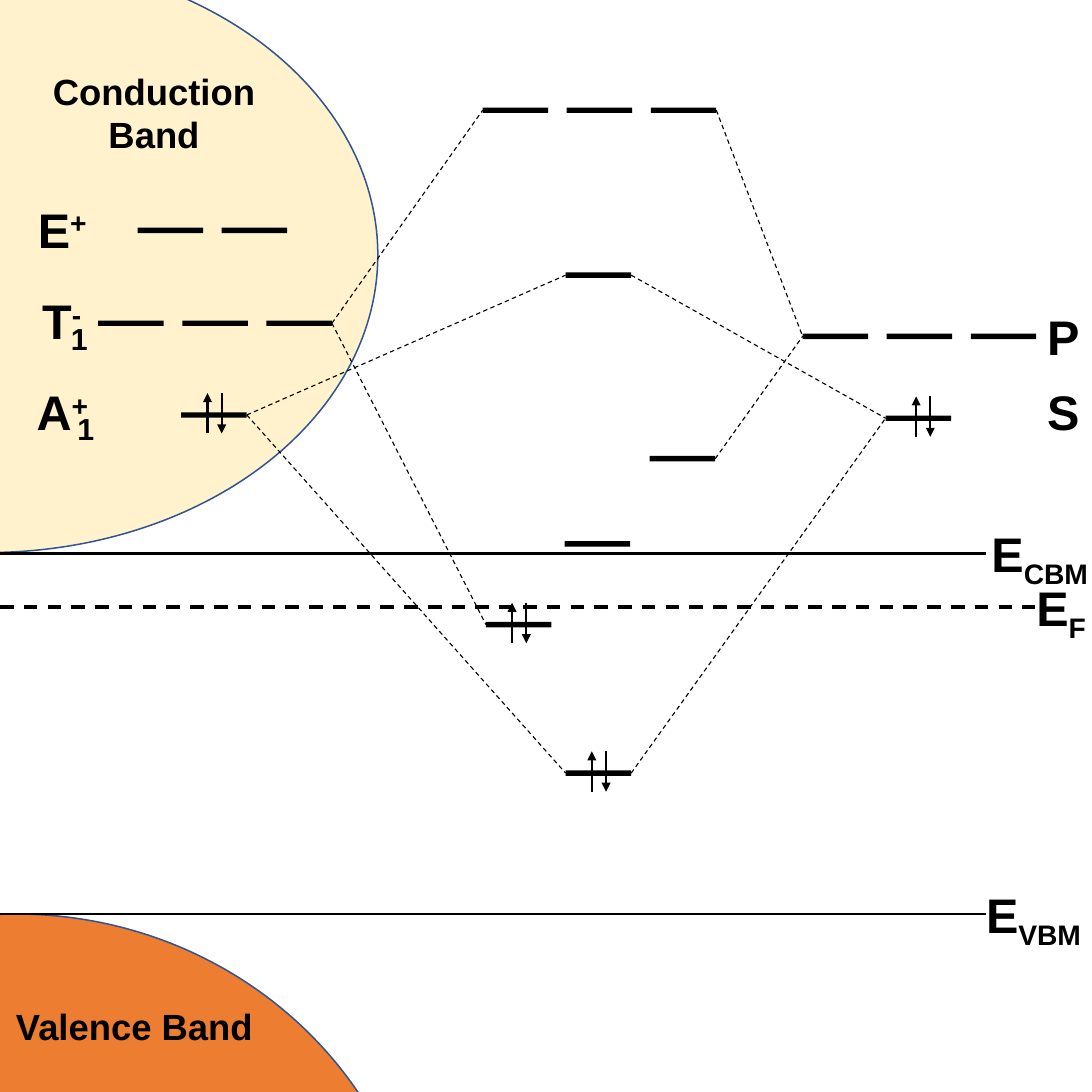
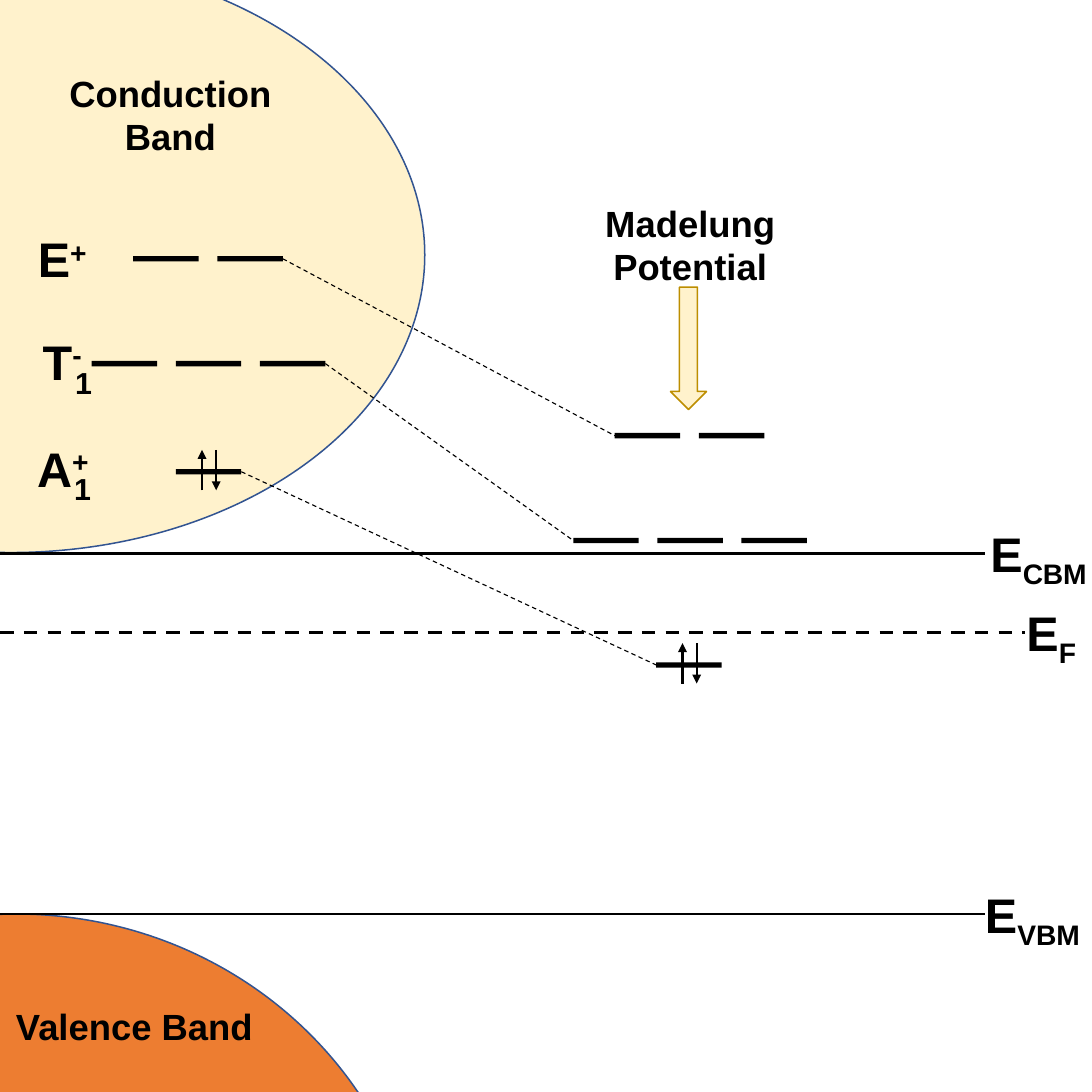
import dataclasses

import lxml.etree
import pptx
import pptx.dml.color
import pptx.enum.dml
import pptx.enum.shapes
import pptx.enum.text
import pptx.oxml.ns
import pptx.util

Inches = pptx.util.Inches
Pt = pptx.util.Pt
SHAPE = pptx.enum.shapes.MSO_SHAPE
ALIGN = pptx.enum.text.PP_ALIGN


@dataclasses.dataclass(frozen=True)
class Theme:
    font: str = "Arial"
    ink: str = "000000"
    conduction: str = "FFF2CC"
    valence: str = "ED7D31"
    band_outline: str = "325491"
    arrow_outline: str = "BD8E00"
    symbol_size: float = 32
    caption_size: float = 24
    index_size: float = 20
    outline: float = 1
    link: float = 0.75
    edge: float = 1.5
    fermi: float = 2.25
    superscript: int = 30
    subscript: int = -25


@dataclasses.dataclass(frozen=True)
class Box:
    left: float
    top: float
    width: float
    height: float

    def emu(self):
        return [Inches(n) for n in dataclasses.astuple(self)]


@dataclasses.dataclass(frozen=True)
class Level:
    """A row of degenerate states: left end, height of its middle, number of bars."""
    left: float
    middle: float
    bars: int = 1

    @property
    def right(self):
        return self.left + (self.bars - 1) * BAR_PITCH + BAR_WIDTH


THEME = Theme()
BAR_WIDTH, BAR_HEIGHT, BAR_PITCH = 0.6, 0.05, 0.77
SPIN_RISE, SPIN_LENGTH, SPIN_GAP = 0.2, 0.37, 0.13
VALENCE_TOP = 8.37
CONDUCTION_BOTTOM = 5.07


def rgb(value):
    return pptx.dml.color.RGBColor.from_string(value)


def add_solid(slide, preset, box, fill, outline=None):
    solid = slide.shapes.add_shape(preset, *box.emu())
    solid.shadow.inherit = False
    solid.fill.solid()
    solid.fill.fore_color.rgb = rgb(fill)
    if outline:
        solid.line.color.rgb = rgb(outline)
        solid.line.width = Pt(THEME.outline)
    else:
        solid.line.fill.background()


def add_line(slide, start, end, width, dashed=False, arrow=False):
    ends = [Inches(n) for n in (*start, *end)]
    line = slide.shapes.add_connector(pptx.enum.shapes.MSO_CONNECTOR.STRAIGHT, *ends)
    line.line.color.rgb = rgb(THEME.ink)
    line.line.width = Pt(width)
    if dashed:
        line.line.dash_style = pptx.enum.dml.MSO_LINE.DASH
    qn = pptx.oxml.ns.qn
    if arrow:
        stroke = line.line._get_or_add_ln()
        lxml.etree.SubElement(stroke, qn("a:tailEnd"), type="triangle")
    lxml.etree.SubElement(line._element.spPr, qn("a:effectLst"))


def add_text(slide, box, runs, size, align=ALIGN.CENTER, inset=True, wrap=True):
    """Write runs given as (text, baseline percent) pairs."""
    label = slide.shapes.add_textbox(*box.emu())
    frame = label.text_frame
    frame.word_wrap = wrap
    frame.auto_size = pptx.enum.text.MSO_AUTO_SIZE.SHAPE_TO_FIT_TEXT
    if not inset:
        frame.margin_left = frame.margin_right = 0
        frame.margin_top = frame.margin_bottom = 0
    paragraph = frame.paragraphs[0]
    paragraph.alignment = align
    for text, baseline in runs:
        run = paragraph.add_run()
        run.text = text
        run.font.name = THEME.font
        run.font.size = Pt(size)
        run.font.bold = True
        run.font.color.rgb = rgb(THEME.ink)
        if baseline:
            run._r.get_or_add_rPr().set("baseline", str(baseline * 1000))


def add_caption(slide, box, text):
    add_text(slide, box, [(text, 0)], THEME.caption_size)


def add_band(slide, box, fill, caption_box, caption):
    add_solid(slide, SHAPE.FLOWCHART_CONNECTOR, box, fill, THEME.band_outline)
    add_caption(slide, caption_box, caption)


def add_symmetry(slide, box, letter, parity, index_offset=None):
    """Label a state; index_offset places a subscript 1 from the box corner."""
    add_text(slide, box, [(letter, 0), (parity, THEME.superscript)], THEME.symbol_size)
    if index_offset:
        right, down = index_offset
        index_box = Box(box.left + right, box.top + down, 0.26, 0.44)
        add_text(slide, index_box, [("1", 0)], THEME.index_size)


def add_energy(slide, start, end, height, index, label_box, align=ALIGN.LEFT,
               wrap=True, fermi=False):
    add_line(slide, (start, height), (end, height),
             THEME.fermi if fermi else THEME.edge, dashed=fermi)
    add_text(slide, label_box, [("E", 0), (index, THEME.subscript)],
             THEME.symbol_size, align, inset=False, wrap=wrap)


def add_level(slide, level):
    for number in range(level.bars):
        bar = Box(level.left + number * BAR_PITCH, level.middle - BAR_HEIGHT / 2,
                  BAR_WIDTH, BAR_HEIGHT)
        add_solid(slide, SHAPE.RECTANGLE, bar, THEME.ink)


def add_electrons(slide, level, offset=0.24):
    """Draw a spin-up and spin-down pair across the level."""
    up = level.left + offset
    down = up + SPIN_GAP
    top = level.middle - SPIN_RISE
    bottom = top + SPIN_LENGTH
    add_line(slide, (up, bottom), (up, top), THEME.edge, arrow=True)
    add_line(slide, (down, top), (down, bottom), THEME.edge, arrow=True)


def add_links(slide, pairs):
    """Join the right end of each first level to the left end of the second."""
    for near, far in pairs:
        add_line(slide, (near.right, near.middle), (far.left, far.middle),
                 THEME.link, dashed=True)


def add_band_structure(slide, conduction_width, caption_box, edge_right, fermi_box):
    """Place what both diagrams share: bands, band edges and Fermi level."""
    add_band(slide, Box(-3.59, VALENCE_TOP, 7.48, 7.22), THEME.valence,
             Box(0.02, 9.15, 2.42, 0.5), "Valence Band")
    add_band(slide, Box(-3.69, -0.39, conduction_width, 5.45), THEME.conduction,
             caption_box, "Conduction Band")
    edges = [(CONDUCTION_BOTTOM, "CBM", ALIGN.CENTER, False),
             (VALENCE_TOP, "VBM", ALIGN.LEFT, True)]
    for height, index, align, wrap in edges:
        label_box = Box(edge_right, height - 0.27, 0.98, 0.54)
        add_energy(slide, -0.15, edge_right, height, index, label_box, align, wrap)
    add_energy(slide, 0, fermi_box.left - 0.01, fermi_box.top + fermi_box.height / 2,
               "F", fermi_box, wrap=False, fermi=True)


def build_orbital_mixing(slide):
    add_band_structure(slide, 7.15, Box(0.02, 0.58, 2.78, 0.91), 9.03,
                       Box(9.49, 5.29, 0.48, 0.54))
    add_symmetry(slide, Box(0.17, 1.78, 0.8, 0.64), "E", "+")
    add_symmetry(slide, Box(0.24, 2.62, 0.65, 0.64), "T", "-", (0.31, 0.26))
    add_symmetry(slide, Box(0.21, 3.45, 0.72, 0.64), "A", "+", (0.4, 0.26))
    for orbital, top in (("P", 2.76), ("S", 3.45)):
        add_text(slide, Box(9.49, top, 0.42, 0.64), [(orbital, 0)], THEME.symbol_size)

    vacancy_e = Level(1.26, 2.11, 2)
    vacancy_t = Level(0.9, 2.96, 3)
    vacancy_a = Level(1.66, 3.8)
    orbital_p = Level(7.35, 3.08, 3)
    orbital_s = Level(8.11, 3.83)
    antibonding_t = Level(4.42, 1.01, 3)
    antibonding_a = Level(5.18, 2.52)
    split_p = Level(5.95, 4.2)
    split_middle = Level(5.17, 4.98)
    split_t = Level(4.45, 5.72)
    bonding_a = Level(5.18, 7.08)

    add_links(slide, [
        (vacancy_a, bonding_a), (vacancy_a, antibonding_a),
        (vacancy_t, split_t), (vacancy_t, antibonding_t),
        (antibonding_a, orbital_s), (bonding_a, orbital_s),
        (antibonding_t, orbital_p), (split_p, orbital_p),
    ])
    for level in (vacancy_e, vacancy_t, vacancy_a, orbital_p, orbital_s, antibonding_t,
                  antibonding_a, split_p, split_middle, split_t, bonding_a):
        add_level(slide, level)
    for level in (vacancy_a, bonding_a, split_t):
        add_electrons(slide, level)
    add_electrons(slide, orbital_s, 0.28)


def build_madelung_shift(slide):
    add_band_structure(slide, 7.58, Box(0.17, 0.6, 2.78, 0.91), 9.02,
                       Box(9.4, 5.52, 0.48, 0.54))
    add_symmetry(slide, Box(0.19, 2.05, 0.76, 0.64), "E", "+")
    add_symmetry(slide, Box(0.17, 2.99, 0.8, 0.64), "T", "-", (0.42, 0.3))
    add_symmetry(slide, Box(0.21, 3.97, 0.73, 0.64), "A", "+", (0.37, 0.29))
    add_solid(slide, SHAPE.DOWN_ARROW, Box(6.14, 2.63, 0.33, 1.12),
              THEME.conduction, THEME.arrow_outline)
    add_caption(slide, Box(4.93, 1.79, 2.78, 0.91), "Madelung Potential")

    vacancy_e, shifted_e = Level(1.22, 2.37, 2), Level(5.63, 3.99, 2)
    vacancy_t, shifted_t = Level(0.84, 3.33, 3), Level(5.25, 4.95, 3)
    vacancy_a, shifted_a = Level(1.61, 4.32), Level(6.01, 6.09)
    shifts = [(vacancy_e, shifted_e), (vacancy_t, shifted_t), (vacancy_a, shifted_a)]
    add_links(slide, shifts)
    for shift in shifts:
        for level in shift:
            add_level(slide, level)
    for level in (vacancy_a, shifted_a):
        add_electrons(slide, level)


def main():
    deck = pptx.Presentation()
    deck.slide_width = deck.slide_height = Inches(10)
    blank = deck.slide_layouts[6]
    for build in (build_orbital_mixing, build_madelung_shift):
        build(deck.slides.add_slide(blank))
    deck.save("out.pptx")


if __name__ == "__main__":
    main()
